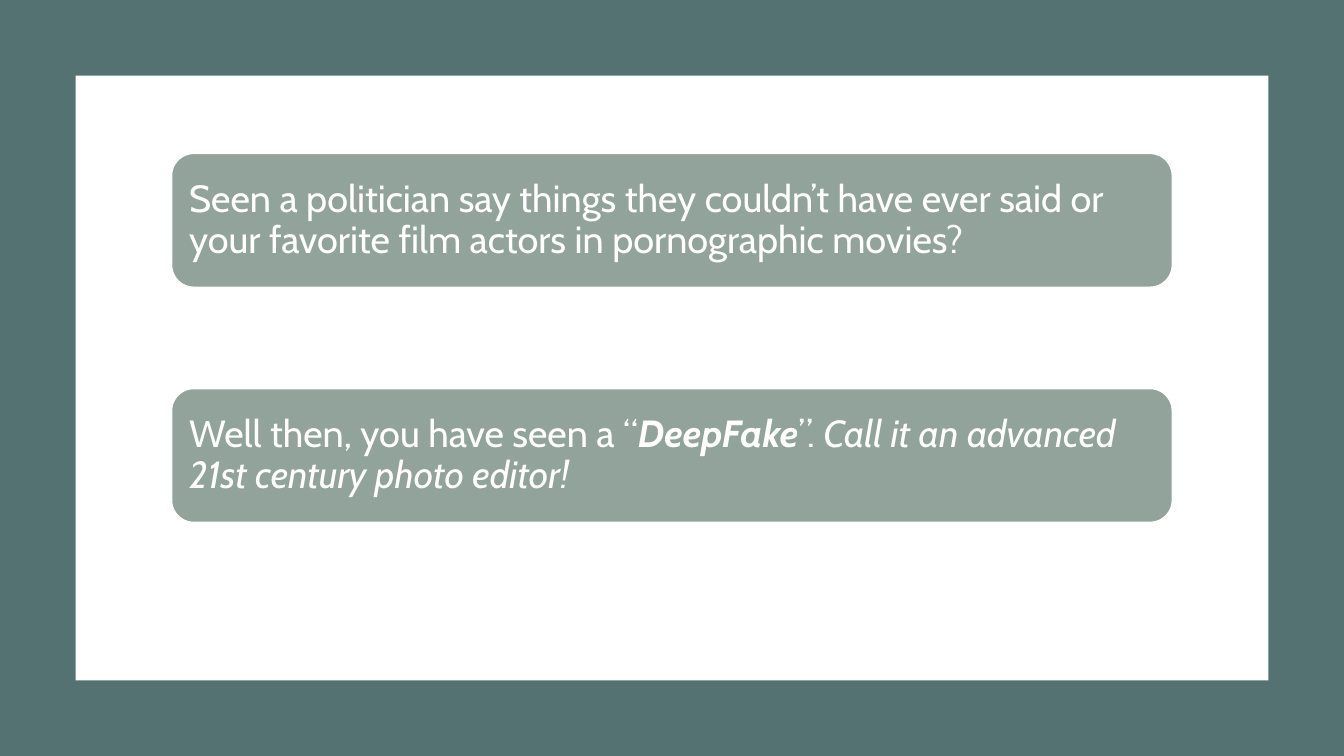
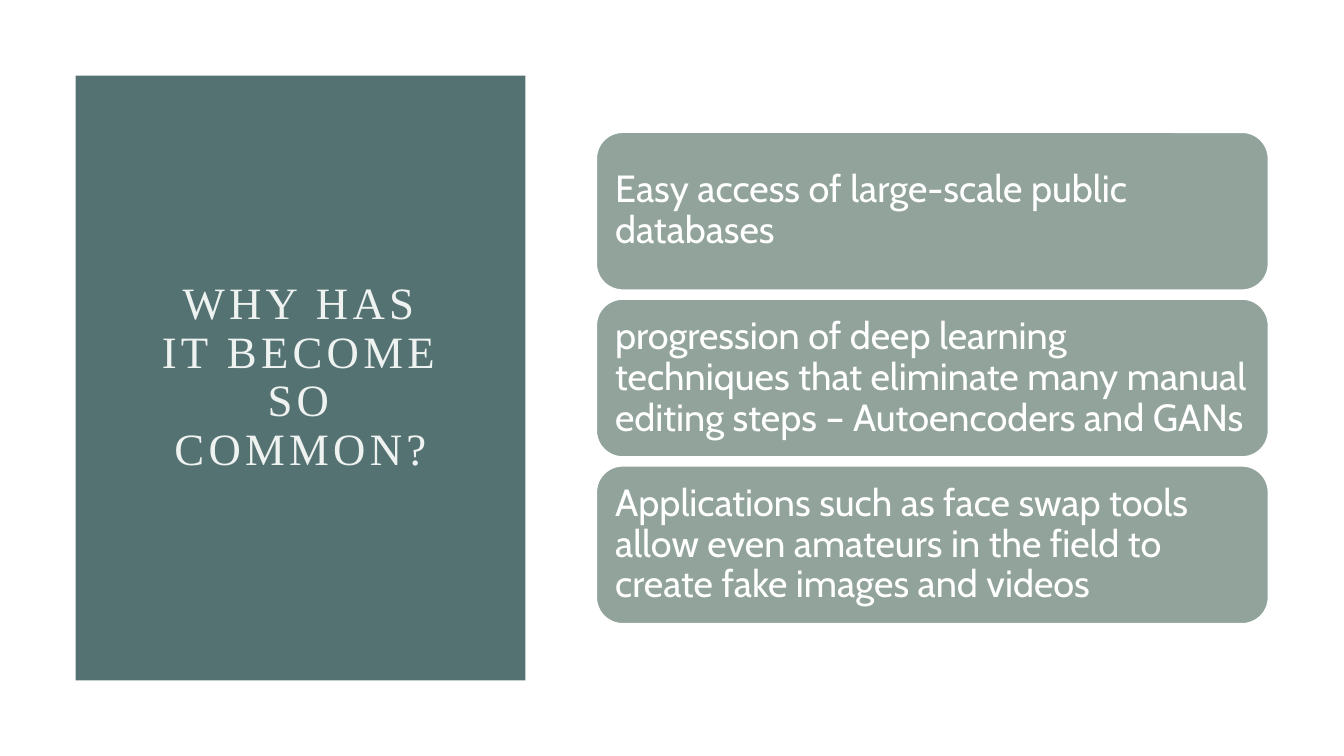
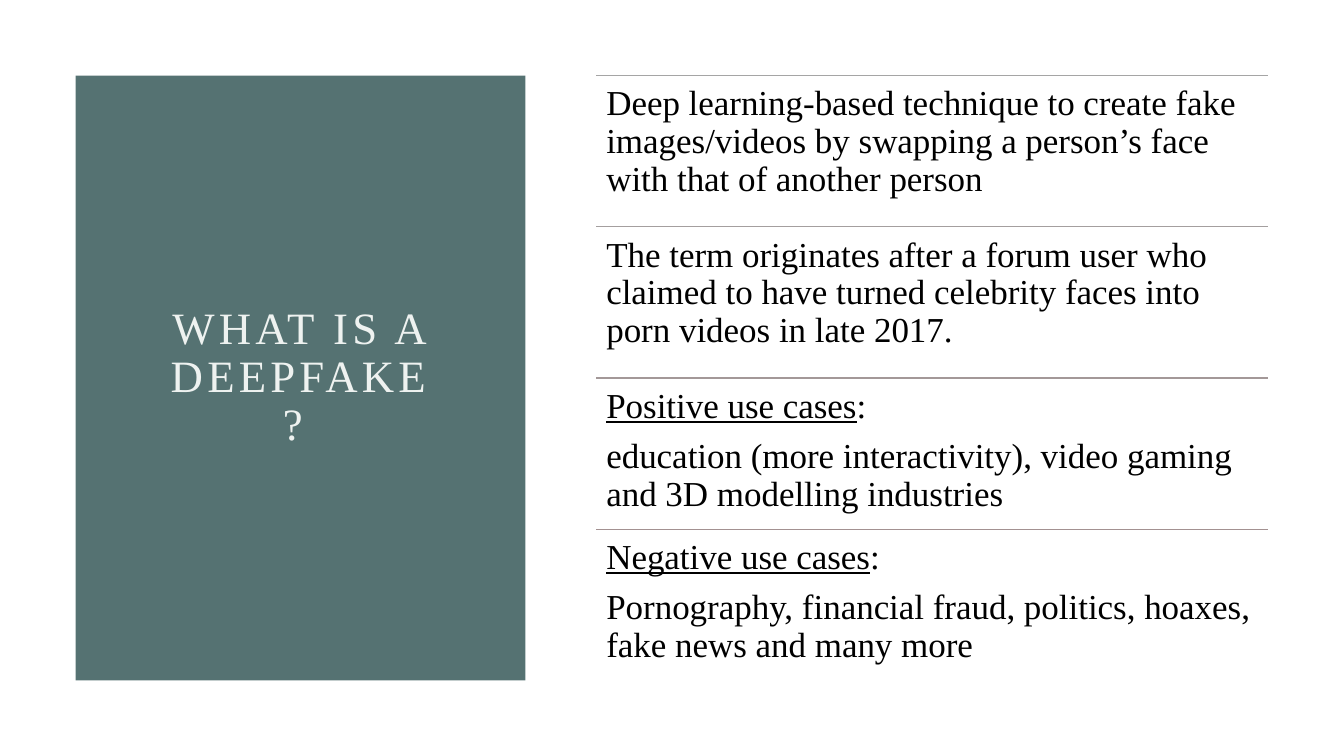
from dataclasses import dataclass

from lxml import etree
from pptx import Presentation
from pptx import util as u
from pptx.dml.color import RGBColor
from pptx.enum import shapes, text
from pptx.oxml import ns

HEIGHT = u.Inches(7.5)
WIDTH = HEIGHT * 16 // 9
MODULE = HEIGHT / 10
COLUMNS = WIDTH / MODULE

TEAL = RGBColor(0x55, 0x72, 0x72)
SAGE = RGBColor(0x91, 0xA3, 0x9B)
MIST = RGBColor(0xEE, 0xF2, 0xF0)
WHITE = RGBColor(0xFF, 0xFF, 0xFF)
BLACK = RGBColor(0x00, 0x00, 0x00)
RULE_COLORS = [
    RGBColor(0xA5, 0xA5, 0xA5),
    RGBColor(0xA4, 0x9F, 0x9F),
    RGBColor(0xA3, 0x98, 0x98),
    RGBColor(0xA3, 0x91, 0x91),
]
SANS = "Cabin"
SERIF = "Times New Roman"
TITLE_ONLY, BLANK = 5, 6


@dataclass
class Box:
    """An area of the slide, measured in grid modules."""

    left: float
    top: float
    width: float
    height: float

    def emu(self):
        """Return the area as left, top, width and height in EMU."""
        return [round(side * MODULE) for side in (self.left, self.top, self.width, self.height)]

    def inset(self, x, y):
        """Return the area shrunk by x and y on both sides."""
        return Box(self.left + x, self.top + y, self.width - 2 * x, self.height - 2 * y)

    def rows(self, count, gap=0):
        """Split the area into equal rows."""
        height = (self.height - gap * (count - 1)) / count
        return [Box(self.left, self.top + i * (height + gap), self.width, height) for i in range(count)]


PAGE = Box(0, 0, COLUMNS, 10)
FRAME = PAGE.inset(1, 1)
PANEL = Box(1, 1, 5.95, 8)
CONTENT = Box(COLUMNS / 2 - 1, 1, COLUMNS / 2, 8)

OPENING = [
    [("Seen a politician say things they couldn’t have ever said or "
      "your favorite film actors in pornographic movies?", "")],
    [("Well then, you have seen a “", ""), ("DeepFake", "bi"), ("”. ", ""),
     ("Call it an advanced 21st century photo editor!", "i")],
]
REASONS = [
    [("Easy access of large-scale public databases", "")],
    [("progression of deep learning techniques that eliminate many manual "
      "editing steps – Autoencoders and GANs", "")],
    [("Applications such as face swap tools allow even amateurs in the field to "
      "create fake images and videos", "")],
]
FACTS = [
    [[("Deep learning-based technique to create fake images/videos by swapping "
       "a person’s face with that of another person", "")]],
    [[("The term originates after a forum user who claimed to have turned "
       "celebrity faces into porn videos in late 2017.", "")]],
    [[("Positive use cases", "u"), (":", "")],
     [("education (more interactivity), video gaming and 3D modelling industries", "")]],
    [[("Negative use cases", "u"), (":", "")],
     [("Pornography, financial fraud, politics, hoaxes, fake news and many more", "")]],
]


def write(shape, paragraphs, font, size, color, anchor, align, margin):
    """Fill a shape with paragraphs of (words, style letters) runs."""
    frame = shape.text_frame
    frame.word_wrap = True
    frame.auto_size = text.MSO_AUTO_SIZE.NONE
    frame.vertical_anchor = anchor
    frame.margin_left = frame.margin_right = u.Inches(margin)
    frame.margin_top = frame.margin_bottom = u.Inches(margin)
    for index, runs in enumerate(paragraphs):
        paragraph = frame.add_paragraph() if index else frame.paragraphs[0]
        paragraph.alignment = align
        paragraph.line_spacing = 0.9
        paragraph.space_after = u.Pt(0.35 * size)
        for words, style in runs:
            run = paragraph.add_run()
            run.text = words
            run.font.name = font
            run.font.size = u.Pt(size)
            run.font.color.rgb = color
            run.font.bold = "b" in style
            run.font.italic = "i" in style
            run.font.underline = "u" in style


def add_block(slide, box, color, kind=shapes.MSO_SHAPE.RECTANGLE):
    """Add a plain filled shape and return it."""
    shape = slide.shapes.add_shape(kind, *box.emu())
    shape.shadow.inherit = False
    shape.fill.solid()
    shape.fill.fore_color.rgb = color
    shape.line.fill.background()
    return shape


def add_cards(slide, box, cards, gap):
    """Stack rounded cards of equal height in the box."""
    for row, runs in zip(box.rows(len(cards), gap), cards):
        card = add_block(slide, row, SAGE, shapes.MSO_SHAPE.ROUNDED_RECTANGLE)
        card.line.color.rgb = WHITE
        card.line.width = u.Pt(1)
        write(card, [runs], SANS, 27, WHITE, text.MSO_ANCHOR.MIDDLE, text.PP_ALIGN.LEFT, 0.11)


def add_rule(slide, box, color):
    """Draw a thin line along the top edge of the box."""
    left, top, width, _ = box.emu()
    rule = slide.shapes.add_connector(shapes.MSO_CONNECTOR.STRAIGHT, left, top, left + width, top)
    rule.line.color.rgb = color
    rule.line.width = u.Pt(1)
    etree.SubElement(rule.element.spPr, ns.qn("a:effectLst"))


def add_ruled_list(slide, box, entries):
    """Stack text entries in equal rows, each under a rule."""
    for row, paragraphs, color in zip(box.rows(len(entries)), entries, RULE_COLORS):
        add_rule(slide, row, color)
        entry = slide.shapes.add_textbox(*row.emu())
        write(entry, paragraphs, SERIF, 25, BLACK, text.MSO_ANCHOR.TOP, text.PP_ALIGN.LEFT, 0.1)


def add_framed_slide(presentation):
    """Add a slide with a white area inside a teal border."""
    slide = presentation.slides.add_slide(presentation.slide_layouts[BLANK])
    add_block(slide, PAGE, TEAL)
    add_block(slide, FRAME, WHITE)
    return slide


def add_panel_slide(presentation, heading):
    """Add a slide with its title on a teal side panel."""
    slide = presentation.slides.add_slide(presentation.slide_layouts[TITLE_ONLY])
    title = slide.shapes.title
    panel = add_block(slide, PANEL, TEAL)
    title.element.addprevious(panel.element)
    title.left, title.top, title.width, title.height = PANEL.inset(1, 1).emu()
    write(title, [[(heading, "")]], SERIF, 32, MIST, text.MSO_ANCHOR.MIDDLE, text.PP_ALIGN.CENTER, 0.1)
    for run in title.text_frame.paragraphs[0].runs:
        run.font._element.set("spc", "300")
    return slide


def main():
    """Build and save the presentation."""
    presentation = Presentation()
    presentation.slide_width = WIDTH
    presentation.slide_height = HEIGHT

    opening = add_framed_slide(presentation)
    add_cards(opening, Box(2.27, 2.03, COLUMNS - 2 * 2.27, 4.88), OPENING, 1.34)

    reasons = add_panel_slide(presentation, "WHY HAS IT BECOME SO COMMON?")
    add_cards(reasons, Box(CONTENT.left, 1.75, CONTENT.width, 6.5), REASONS, 0.12)

    facts = add_panel_slide(presentation, "WHAT IS A DEEPFAKE? ")
    add_ruled_list(facts, CONTENT, FACTS)

    presentation.save("out.pptx")


if __name__ == "__main__":
    main()
